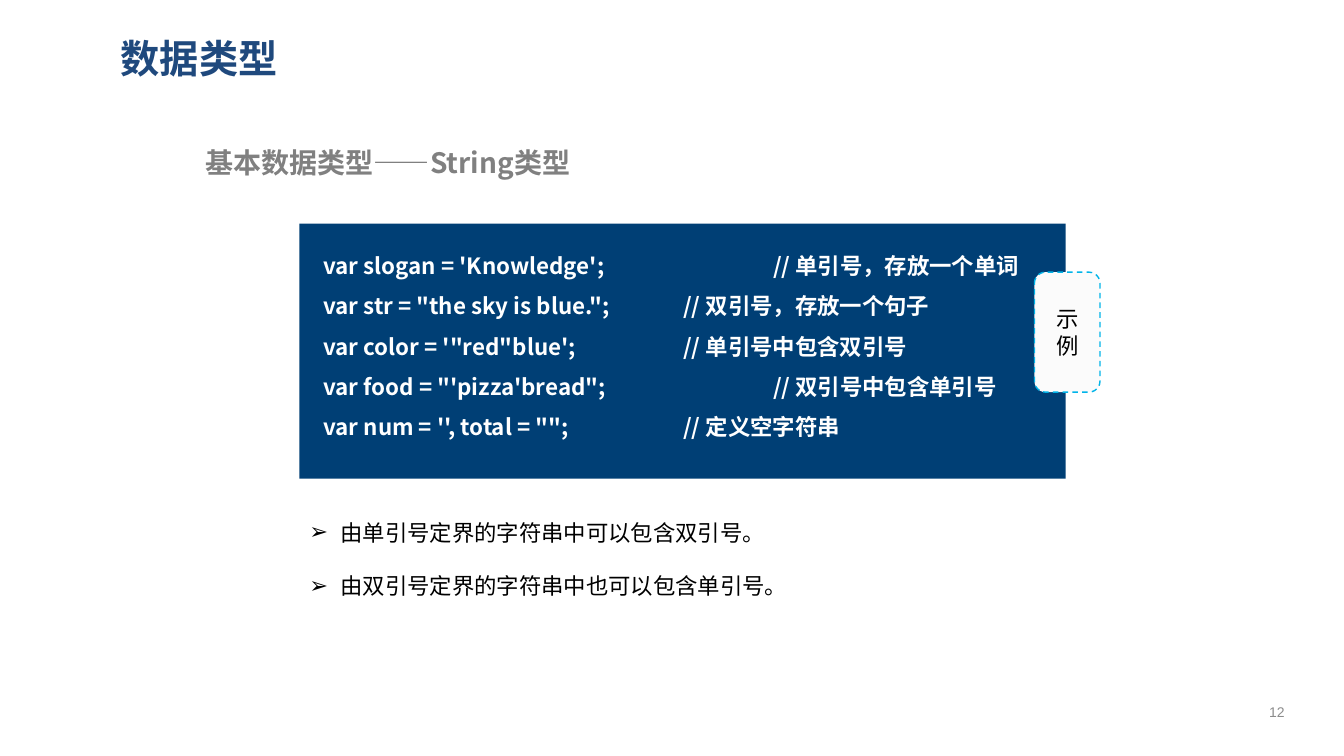
from dataclasses import dataclass

from lxml import etree
from pptx import Presentation
from pptx.dml.color import RGBColor
from pptx.enum import dml, shapes, text
from pptx.oxml import ns
from pptx.util import Inches, Pt

COLORS = {
    "title": "1F497D",
    "subtitle": "808080",
    "panel": "003F75",
    "white": "FFFFFF",
    "black": "000000",
    "tag": "FBFBFB",
    "tag_line": "00B4E9",
    "number": "8C8C8C",
}
CJK_FONT = "Noto Sans CJK SC"
TAB_STOPS = (2.68, 3.57, 4.46)
BULLET_INDENT = 0.31


@dataclass
class TextBlock:
    box: tuple[float, float, float, float]
    lines: tuple[str, ...]
    size: float
    color: str
    font: str = CJK_FONT
    bold: bool = False
    spacing: float = 1.0
    anchor: text.MSO_ANCHOR = text.MSO_ANCHOR.TOP
    align: text.PP_ALIGN = text.PP_ALIGN.LEFT
    tabs: tuple[float, ...] = ()
    bullet: str = ""


CODE_LINES = (
    "var slogan = 'Knowledge';\t\t// 单引号，存放一个单词",
    "var str = \"the sky is blue.\"; \t// 双引号，存放一个句子",
    "var color = '\"red\"blue'; \t\t// 单引号中包含双引号",
    "var food = \"'pizza'bread\";\t\t// 双引号中包含单引号",
    "var num = '', total = \"\";\t\t// 定义空字符串",
)
NOTES = (
    "由单引号定界的字符串中可以包含双引号。",
    "由双引号定界的字符串中也可以包含单引号。",
)
TEXT_BLOCKS = (
    TextBlock((1.1, 0.24, 11.65, 0.67), ("数据类型",), 28, "title", bold=True,
              anchor=text.MSO_ANCHOR.MIDDLE),
    TextBlock((1.94, 1.39, 9.22, 0.44), ("基本数据类型——String类型",), 20,
              "subtitle", bold=True),
    TextBlock((3.11, 2.32, 7.47, 2.07), CODE_LINES, 16, "white", bold=True,
              spacing=1.5, tabs=TAB_STOPS),
    TextBlock((2.97, 4.83, 7.75, 1.22), NOTES, 16, "black", font="Arial",
              spacing=2.0, bullet="➢"),
    TextBlock((12.34, 6.86, 0.65, 0.4), ("12",), 10, "number", font="Arial",
              anchor=text.MSO_ANCHOR.MIDDLE, align=text.PP_ALIGN.CENTER),
)
TAG = TextBlock((10.26, 2.7, 0.65, 1.19), ("示例",), 16, "black", font="Arial",
                anchor=text.MSO_ANCHOR.MIDDLE, align=text.PP_ALIGN.CENTER)


def rgb(name: str) -> RGBColor:
    return RGBColor.from_string(COLORS[name])


def add_tabs_and_bullet(paragraph, block: TextBlock) -> None:
    properties = paragraph._p.get_or_add_pPr()
    if block.bullet:
        properties.set("marL", str(Inches(BULLET_INDENT)))
        properties.set("indent", str(-Inches(BULLET_INDENT)))
        bullet_font = etree.SubElement(properties, ns.qn("a:buFont"))
        bullet_font.set("typeface", "Arial")
        etree.SubElement(properties, ns.qn("a:buChar")).set("char", block.bullet)
    if block.tabs:
        tab_list = etree.SubElement(properties, ns.qn("a:tabLst"))
        for stop in block.tabs:
            tab = etree.SubElement(tab_list, ns.qn("a:tab"))
            tab.set("pos", str(Inches(stop)))
            tab.set("algn", "l")


def write_text(shape, block: TextBlock) -> None:
    frame = shape.text_frame
    frame.word_wrap = True
    frame.vertical_anchor = block.anchor
    font_values = {"size": Pt(block.size), "bold": block.bold, "name": block.font}
    for index, line in enumerate(block.lines):
        paragraph = frame.add_paragraph() if index else frame.paragraphs[0]
        paragraph.alignment = block.align
        paragraph.line_spacing = block.spacing
        add_tabs_and_bullet(paragraph, block)
        run = paragraph.add_run()
        run.text = line
        for name, value in font_values.items():
            setattr(run.font, name, value)
        run.font.color.rgb = rgb(block.color)
        east_asian = etree.SubElement(run._r.get_or_add_rPr(), ns.qn("a:ea"))
        east_asian.set("typeface", CJK_FONT)


def add_box(slide, kind: shapes.MSO_SHAPE, box: tuple, fill: str):
    shape = slide.shapes.add_shape(kind, *map(Inches, box))
    shape.shadow.inherit = False
    shape.fill.solid()
    shape.fill.fore_color.rgb = rgb(fill)
    shape.line.fill.background()
    return shape


def add_tag(slide) -> None:
    tag = add_box(slide, shapes.MSO_SHAPE.ROUNDED_RECTANGLE, TAG.box, "tag")
    tag.line.color.rgb = rgb("tag_line")
    tag.line.width = Pt(1)
    tag.line.dash_style = dml.MSO_LINE.DASH
    write_text(tag, TAG)


def main() -> None:
    presentation = Presentation()
    presentation.slide_width = Inches(13.33)
    presentation.slide_height = Inches(7.5)
    slide = presentation.slides.add_slide(presentation.slide_layouts[6])
    add_box(slide, shapes.MSO_SHAPE.RECTANGLE, (2.97, 2.22, 7.6, 2.53), "panel")
    for block in TEXT_BLOCKS:
        write_text(slide.shapes.add_textbox(*map(Inches, block.box)), block)
    add_tag(slide)
    presentation.save("out.pptx")


if __name__ == "__main__":
    main()
